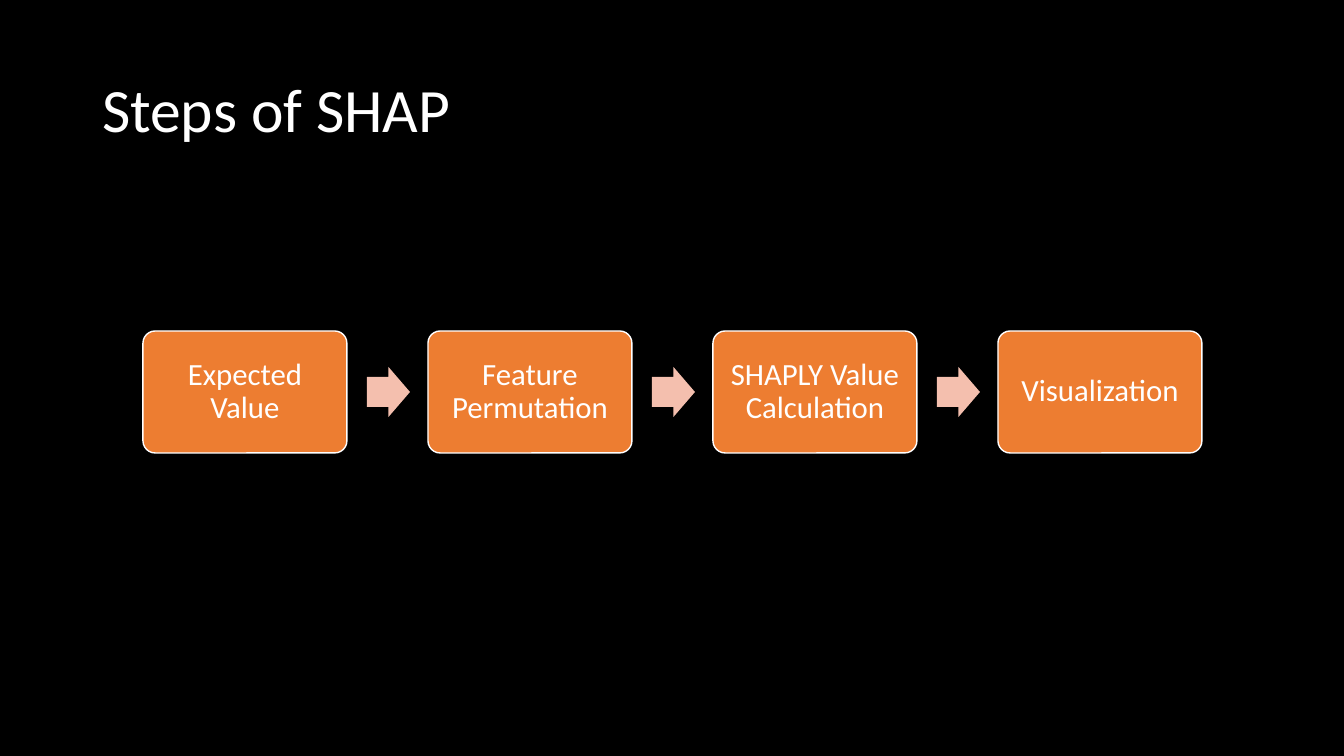
"""Build the slide that shows the steps of SHAP as a row of linked boxes."""
from pptx import Presentation
from pptx.dml.color import RGBColor
from pptx.enum.shapes import MSO_SHAPE
from pptx.enum.text import MSO_ANCHOR, PP_ALIGN
from pptx.util import Pt

ROUNDED = MSO_SHAPE.ROUNDED_RECTANGLE
ARROW = MSO_SHAPE.RIGHT_ARROW
MIDDLE = MSO_ANCHOR.MIDDLE
LEFT, CENTER = PP_ALIGN.LEFT, PP_ALIGN.CENTER

COLORS = {
    "background": "000000",
    "text": "FFFFFF",
    "box": "ED7D31",
    "arrow": "F4BFAE",
}
FONT = "Calibri"
STEPS = [
    "Expected Value",
    "Feature Permutation",
    "SHAPLY Value Calculation",
    "Visualization",
]
FIRST_BOX_LEFT, BOX_TOP, BOX_WIDTH, BOX_HEIGHT = 143, 331, 204, 122
STEP_PITCH = 285
ARROW_OFFSET, ARROW_TOP, ARROW_WIDTH, ARROW_HEIGHT = 224, 367, 43, 50
BOX_MARGIN = 13


def px(length):
    return round(length * 914400 / 100.8)


def color(name):
    return RGBColor.from_string(COLORS[name])


def write_text(shape, text, size, alignment):
    frame = shape.text_frame
    frame.word_wrap = True
    frame.vertical_anchor = MIDDLE
    frame.text = text
    paragraph = frame.paragraphs[0]
    paragraph.alignment = alignment
    paragraph.line_spacing = 0.9
    paragraph.font.name = FONT
    paragraph.font.size = Pt(size)
    paragraph.font.color.rgb = color("text")


def add_title(slide, text):
    title = slide.shapes.title
    title.left, title.top = px(92), px(40)
    title.width, title.height = px(1159), px(146)
    write_text(title, text, 44, LEFT)


def add_filled_shape(slide, kind, left, top, width, height, fill):
    shape = slide.shapes.add_shape(kind, px(left), px(top), px(width), px(height))
    shape.shadow.inherit = False
    shape.fill.solid()
    shape.fill.fore_color.rgb = color(fill)
    return shape


def add_step(slide, left, text):
    box = add_filled_shape(slide, ROUNDED, left, BOX_TOP, BOX_WIDTH, BOX_HEIGHT, "box")
    box.adjustments[0] = 0.1
    box.line.color.rgb = color("text")
    box.line.width = Pt(1)
    frame = box.text_frame
    frame.margin_left = frame.margin_right = px(BOX_MARGIN)
    frame.margin_top = frame.margin_bottom = px(BOX_MARGIN)
    write_text(box, text, 22, CENTER)


def add_arrow(slide, left):
    arrow = add_filled_shape(
        slide, ARROW, left, ARROW_TOP, ARROW_WIDTH, ARROW_HEIGHT, "arrow"
    )
    arrow.adjustments[0] = 0.6
    arrow.adjustments[1] = 0.5
    arrow.line.fill.background()


def main():
    presentation = Presentation()
    presentation.slide_width, presentation.slide_height = px(1344), px(756)
    slide = presentation.slides.add_slide(presentation.slide_layouts[5])
    slide.background.fill.solid()
    slide.background.fill.fore_color.rgb = color("background")

    add_title(slide, "Steps of SHAP")
    for index, step in enumerate(STEPS):
        left = FIRST_BOX_LEFT + index * STEP_PITCH
        add_step(slide, left, step)
        if index < len(STEPS) - 1:
            add_arrow(slide, left + ARROW_OFFSET)

    presentation.save("out.pptx")


if __name__ == "__main__":
    main()
